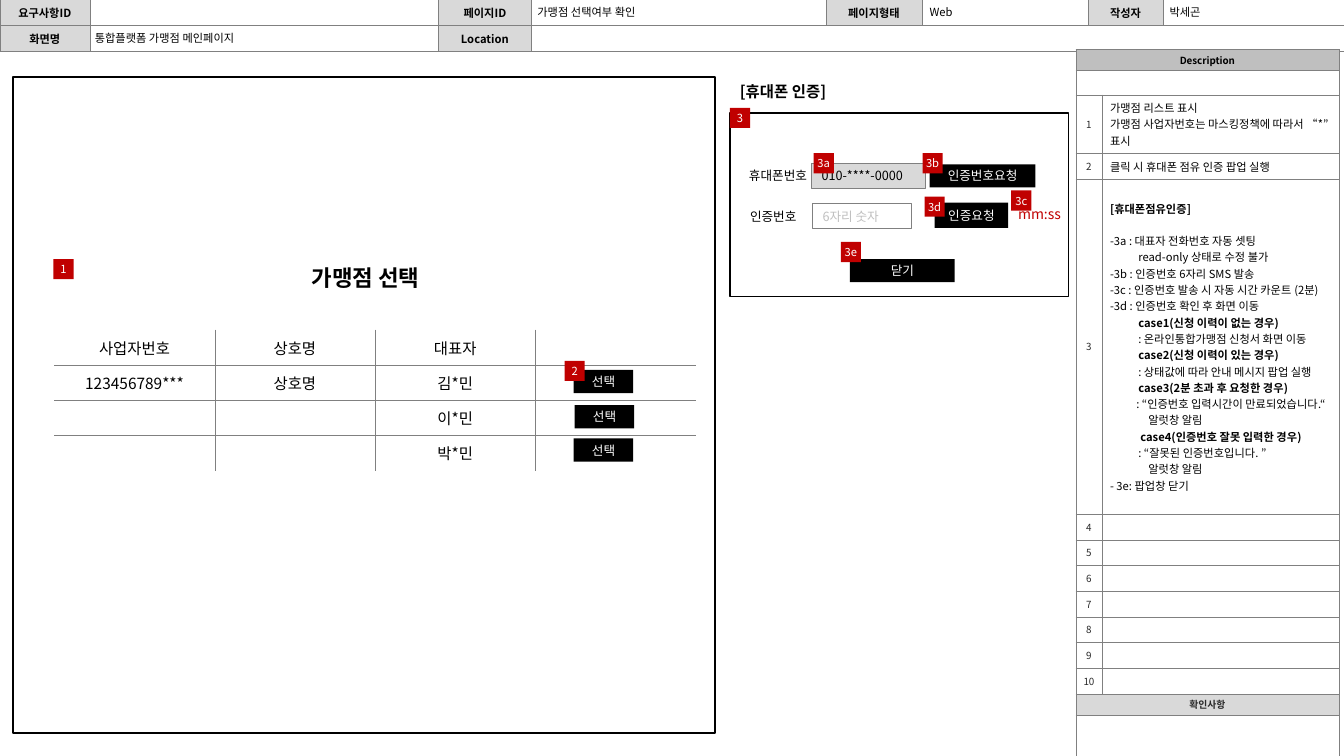
import pptx
import pptx.util
import pptx.dml.color
import pptx.enum.text
import pptx.enum.shapes
import pptx.oxml.ns
from lxml import etree

Inches = pptx.util.Inches
Pt = pptx.util.Pt
qn = pptx.oxml.ns.qn
RGB = pptx.dml.color.RGBColor
ALIGN = pptx.enum.text.PP_ALIGN
MIDDLE = pptx.enum.text.MSO_ANCHOR.MIDDLE
RECT = pptx.enum.shapes.MSO_SHAPE.RECTANGLE

FONT = "Noto Sans CJK KR"
BLACK = RGB(0x00, 0x00, 0x00)
WHITE = RGB(0xFF, 0xFF, 0xFF)
RED = RGB(0xC0, 0x00, 0x00)
DARK = RGB(0x29, 0x29, 0x29)
GRAY = RGB(0x80, 0x80, 0x80)
SILVER = RGB(0xBF, 0xBF, 0xBF)
LIGHT = RGB(0xD9, 0xD9, 0xD9)

deck = pptx.Presentation()
deck.slide_width = Inches(13.33)
deck.slide_height = Inches(7.5)
slide = deck.slides.add_slide(deck.slide_layouts[4])
shapes = slide.shapes


def write(para, text, size, color=BLACK, bold=False, align=ALIGN.LEFT):
    para.alignment = align
    run = para.add_run()
    run.text = text
    run.font.size = Pt(size)
    run.font.bold = bold
    run.font.color.rgb = color
    run.font.name = FONT
    etree.SubElement(run.font._element, qn("a:ea"), typeface=FONT)


def grid(left, top, cols, rows, frame=True):
    table = shapes.add_table(len(rows), len(cols), Inches(left), Inches(top),
                             Inches(sum(cols)), Inches(sum(rows))).table
    table.first_row = table.horz_banding = False
    for col, width in zip(table.columns, cols):
        col.width = Inches(width)
    for row, height in zip(table.rows, rows):
        row.height = Inches(height)
    for r in range(len(rows)):
        for c in range(len(cols)):
            cell = table.cell(r, c)
            cell.fill.background()
            cell.vertical_anchor = MIDDLE
            cell.margin_top = cell.margin_bottom = 0
            etree.SubElement(cell.text_frame.paragraphs[0]._p, qn("a:endParaRPr"), sz="700")
            outer = {"L": c == 0, "R": c == len(cols) - 1, "T": r == 0, "B": r == len(rows) - 1}
            props = cell._tc.get_or_add_tcPr()
            for n, side in enumerate("LRTB"):
                edge = etree.Element(qn("a:ln" + side), w="3175")
                if outer[side] and not frame:
                    etree.SubElement(edge, qn("a:noFill"))
                else:
                    paint = etree.SubElement(edge, qn("a:solidFill"))
                    etree.SubElement(paint, qn("a:srgbClr"), val=str(GRAY))
                props.insert(n, edge)
    return table


# Title and page details
values = [
    ("가맹점 선택", 1.65, 2.57, 3.91, 0.37),
    ("가맹점 선택여부 확인", 5.29, 0, 2.92, 0.24),
    ("Web", 9.18, 0, 1.64, 0.24),
    ("박세곤", 11.56, 0, 1.77, 0.24),
    ("통합플랫폼 가맹점 메인페이지", 0.9, 0.26, 3.42, 0.24),
]
for idx, (text, left, top, width, height) in enumerate(values):
    box = slide.placeholders[idx]
    box.left, box.top = Inches(left), Inches(top)
    box.width, box.height = Inches(width), Inches(height)
    frame = box.text_frame
    frame.auto_size = pptx.enum.text.MSO_AUTO_SIZE.NONE
    frame.vertical_anchor = MIDDLE
    frame.margin_left = Inches(0.04)
    frame.margin_top = frame.margin_right = frame.margin_bottom = 0
    para = frame.paragraphs[0]
    para.space_before = Pt(0)
    if idx == 0:
        write(para, text, 16, bold=True, align=ALIGN.CENTER)
    else:
        write(para, text, 8)
        props = para._p.get_or_add_pPr()
        props.set("marL", "0")
        props.set("indent", "0")
        etree.SubElement(props, qn("a:buNone"))

# Page header table
head = grid(0, -0.01, [0.89, 3.46, 0.92, 2.92, 0.96, 1.64, 0.75, 1.81], [0.26, 0.26])
head.cell(1, 3).merge(head.cell(1, 7))
for r, names in enumerate([["요구사항ID", "페이지ID", "페이지형태", "작성자"], ["화면명", "Location"]]):
    for n, name in enumerate(names):
        cell = head.cell(r, 2 * n)
        cell.margin_left = cell.margin_right = 0
        cell.fill.solid()
        cell.fill.fore_color.rgb = LIGHT
        write(cell.text_frame.paragraphs[0], name, 8, bold=True, align=ALIGN.CENTER)

# Description table
notes = grid(10.67, 0.49, [0.26, 2.35],
             [0.21, 0.24, 0.58, 0.26, 3.32] + [0.255] * 7 + [0.21, 0.75])
for r in (0, 1, 12, 13):
    notes.cell(r, 0).merge(notes.cell(r, 1))
for r, name, fill, ink in [(0, "Description", SILVER, BLACK), (12, "확인사항", LIGHT, DARK)]:
    cell = notes.cell(r, 0)
    cell.fill.solid()
    cell.fill.fore_color.rgb = fill
    write(cell.text_frame.paragraphs[0], name, 7, ink, True, ALIGN.CENTER)
for n in range(1, 11):
    cell = notes.cell(n + 1, 0)
    cell.margin_left = cell.margin_right = Inches(0.04)
    write(cell.text_frame.paragraphs[0], str(n), 7, DARK, align=ALIGN.CENTER)

# Each line: text, first-line indent, bold
details = [
    [("가맹점 리스트 표시", 0, False),
     ("가맹점 사업자번호는 마스킹정책에 따라서 “*” 표시", 0, False)],
    [("클릭 시 휴대폰 점유 인증 팝업 실행", 0, False)],
    [("[휴대폰점유인증]", 0, True),
     ("-3a : 대표자 전화번호 자동 셋팅", 0, False),
     ("read-only 상태로 수정 불가", 0.28, False),
     ("-3b : 인증번호 6자리 SMS 발송", 0, False),
     ("-3c : 인증번호 발송 시 자동 시간 카운트 (2분)", 0, False),
     ("-3d : 인증번호 확인 후 화면 이동", 0, False),
     ("case1(신청 이력이 없는 경우)", 0.28, True),
     (": 온라인통합가맹점 신청서 화면 이동", 0.28, False),
     ("case2(신청 이력이 있는 경우)", 0.28, True),
     (": 상태값에 따라 안내 메시지 팝업 실행", 0.28, False),
     ("case3(2분 초과 후 요청한 경우)", 0.28, True),
     (": “인증번호 입력시간이 만료되었습니다.“", 0.26, False),
     ("알럿창 알림", 0.38, False),
     ("case4(인증번호 잘못 입력한 경우)", 0.3, True),
     (": “잘못된 인증번호입니다. ”", 0.28, False),
     ("알럿창 알림", 0.38, False),
     ("- 3e: 팝업창 닫기", 0, False)],
]
for r, lines in enumerate(details, 2):
    cell = notes.cell(r, 1)
    cell.margin_left = cell.margin_right = Inches(0.08)
    frame = cell.text_frame
    for n, (text, indent, bold) in enumerate(lines):
        para = frame.add_paragraph() if n else frame.paragraphs[0]
        write(para, text, 8, bold=bold)
        para._p.get_or_add_pPr().set("indent", str(Inches(indent)))
notes.cell(4, 1).text_frame.paragraphs[0].space_after = Pt(11.6)

# Store list
stores = grid(0.54, 3.27, [1.59] * 4, [0.35] * 4, frame=False)
for r, names in enumerate([["사업자번호", "상호명", "대표자"], ["123456789***", "상호명", "김*민"],
                           ["", "", "이*민"], ["", "", "박*민"]]):
    for c, name in enumerate(names):
        if name:
            write(stores.cell(r, c).text_frame.paragraphs[0], name, 11, align=ALIGN.CENTER)

# Labels
for text, left, top, width, height, size, ink, bold in [
    ("휴대폰번호", 7.33, 1.62, 0.78, 0.25, 9, BLACK, False),
    ("인증번호", 7.34, 2.02, 0.78, 0.25, 9, BLACK, False),
    ("mm:ss", 10, 1.99, 0.78, 0.27, 10, RED, False),
    ("[휴대폰 인증]", 7.24, 0.76, 1.14, 0.29, 11, BLACK, True),
]:
    frame = shapes.add_textbox(Inches(left), Inches(top), Inches(width), Inches(height)).text_frame
    frame.word_wrap = False
    frame.vertical_anchor = MIDDLE
    write(frame.paragraphs[0], text, size, ink, bold)

# Frames, fields, buttons and number tags
parts = [
    ("", 0.13, 0.76, 6.96, 6.51, None, BLACK, 1.5),
    ("", 7.24, 1.12, 3.36, 1.82, None, BLACK, 1),
    ("010-****-0000", 8.05, 1.62, 1.13, 0.25, LIGHT, GRAY, 0.75),
    ("6자리 숫자", 8.06, 2.02, 0.98, 0.25, None, GRAY, 0.75),
]
for text, left, top, width, height in [
    ("선택", 5.69, 3.67, 0.59, 0.23), ("선택", 5.7, 4.02, 0.59, 0.23),
    ("선택", 5.69, 4.35, 0.59, 0.23), ("인증번호요청", 9.22, 1.63, 1.05, 0.23),
    ("인증요청", 9.27, 2.01, 0.73, 0.25), ("닫기", 8.43, 2.57, 1.04, 0.23),
]:
    parts.append((text, left, top, width, height, BLACK, None, 0))
for text, left, top in [
    ("1", 0.53, 2.57), ("2", 5.6, 3.58), ("3", 7.24, 1.07), ("3a", 8.07, 1.52),
    ("3b", 9.15, 1.52), ("3c", 10.03, 1.89), ("3d", 9.17, 1.95), ("3e", 8.34, 2.4),
]:
    parts.append((text, left, top, 0.2, 0.2, RED, None, 0))

for text, left, top, width, height, fill, line, weight in parts:
    shape = shapes.add_shape(RECT, Inches(left), Inches(top), Inches(width), Inches(height))
    shape.shadow.inherit = False
    if fill is None:
        shape.fill.background()
    else:
        shape.fill.solid()
        shape.fill.fore_color.rgb = fill
    if line is None:
        shape.line.fill.background()
    else:
        shape.line.color.rgb = line
        shape.line.width = Pt(weight)
    if text:
        frame = shape.text_frame
        frame.word_wrap = True
        frame.vertical_anchor = MIDDLE
        frame.margin_top = frame.margin_bottom = 0
        frame.margin_left = frame.margin_right = Inches(0 if fill == RED else 0.1)
        ink = WHITE if line is None else BLACK if fill else SILVER
        write(frame.paragraphs[0], text, 8 if fill == RED else 9, ink,
              align=ALIGN.CENTER if line is None else ALIGN.LEFT)

deck.save("out.pptx")
